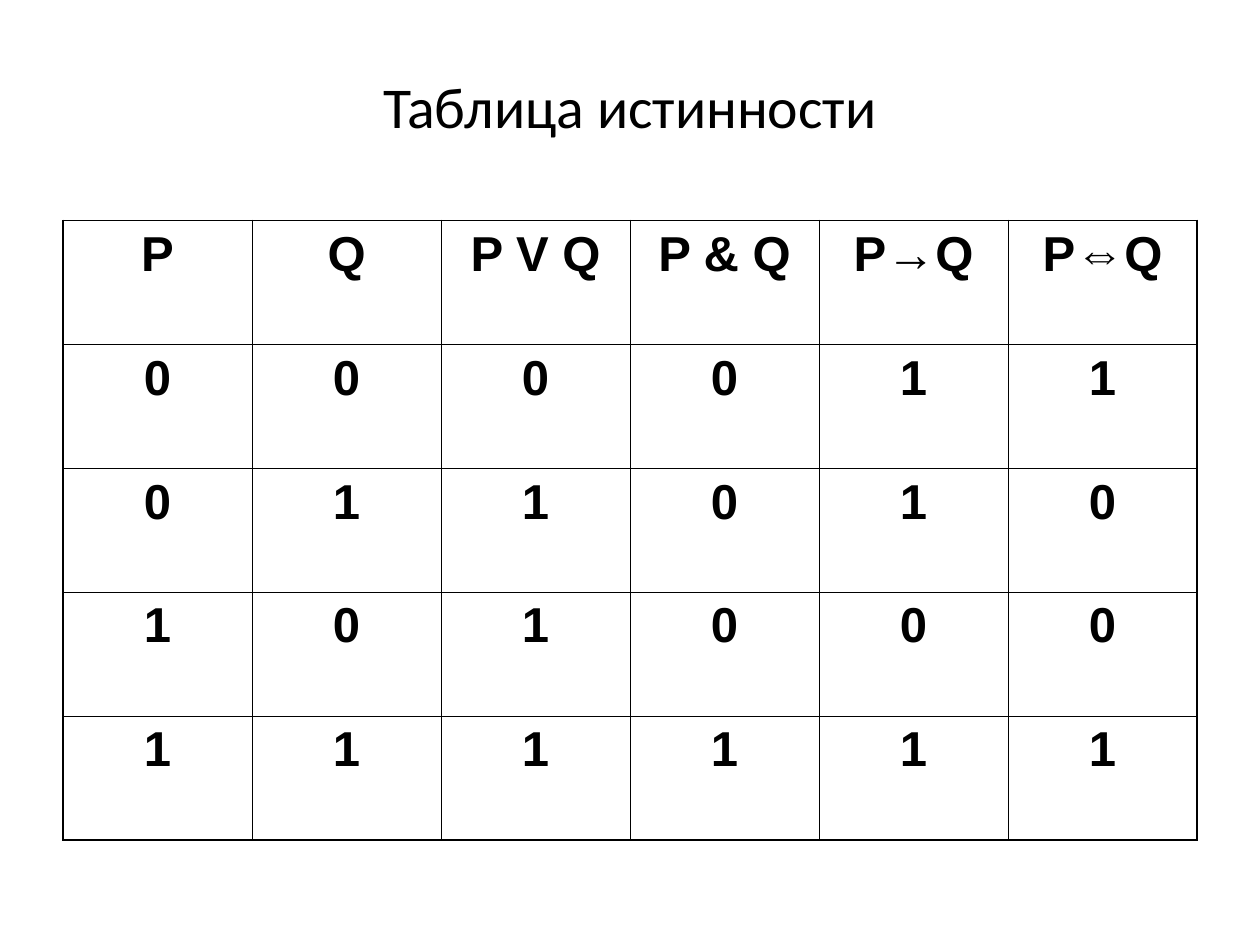
from lxml import etree
from pptx import Presentation
from pptx.dml.color import RGBColor
from pptx.enum import text
from pptx.oxml import ns
from pptx.util import Inches, Pt

TITLE = "Таблица истинности"
ROWS = [
    ["P", "Q", "P V Q", "P & Q", "P→Q", "P⇔Q"],
    ["0", "0", "0", "0", "1", "1"],
    ["0", "1", "1", "0", "1", "0"],
    ["1", "0", "1", "0", "0", "0"],
    ["1", "1", "1", "1", "1", "1"],
]
COLORS = {"ink": "000000"}
INNER, OUTER = 0.45, 1.08
LEFT, TOP, WIDTH, HEIGHT = 0.5, 1.75, 9, 4.92


def format_text(frame, font_name, size, bold):
    paragraph = frame.paragraphs[0]
    paragraph.alignment = text.PP_ALIGN.CENTER
    font = paragraph.runs[0].font
    font.name, font.size, font.bold = font_name, Pt(size), bold
    font.color.rgb = RGBColor.from_string(COLORS["ink"])
    return paragraph


def add_border(cell, side, weight):
    properties = cell._tc.get_or_add_tcPr()
    line = etree.SubElement(properties, ns.qn(f"a:ln{side}"), w=str(Pt(weight)))
    fill = etree.SubElement(line, ns.qn("a:solidFill"))
    etree.SubElement(fill, ns.qn("a:srgbClr"), val=COLORS["ink"])


def add_title(page):
    title = page.shapes.title
    title.left, title.top = Inches(0.5), Inches(0.25)
    title.width, title.height = Inches(9), Inches(1.25)
    frame = title.text_frame
    frame.text = TITLE
    frame.vertical_anchor = text.MSO_ANCHOR.MIDDLE
    format_text(frame, "Calibri", 33, False).line_spacing = 0.9


def add_truth_table(page):
    row_count, column_count = len(ROWS), len(ROWS[0])
    table = page.shapes.add_table(
        row_count, column_count,
        Inches(LEFT), Inches(TOP), Inches(WIDTH), Inches(HEIGHT),
    ).table
    table.first_row = table.horz_banding = False
    for r, values in enumerate(ROWS):
        for c, value in enumerate(values):
            cell = table.cell(r, c)
            cell.text = value
            format_text(cell.text_frame, "Arial", 28, True)
            on_edge = {
                "L": c == 0,
                "R": c == column_count - 1,
                "T": r == 0,
                "B": r == row_count - 1,
            }
            for side, outside in on_edge.items():
                add_border(cell, side, OUTER if outside else INNER)
            cell.fill.background()


def main():
    deck = Presentation()
    deck.slide_width, deck.slide_height = Inches(10), Inches(7.5)
    page = deck.slides.add_slide(deck.slide_layouts[5])
    add_title(page)
    add_truth_table(page)
    deck.save("out.pptx")


if __name__ == "__main__":
    main()
